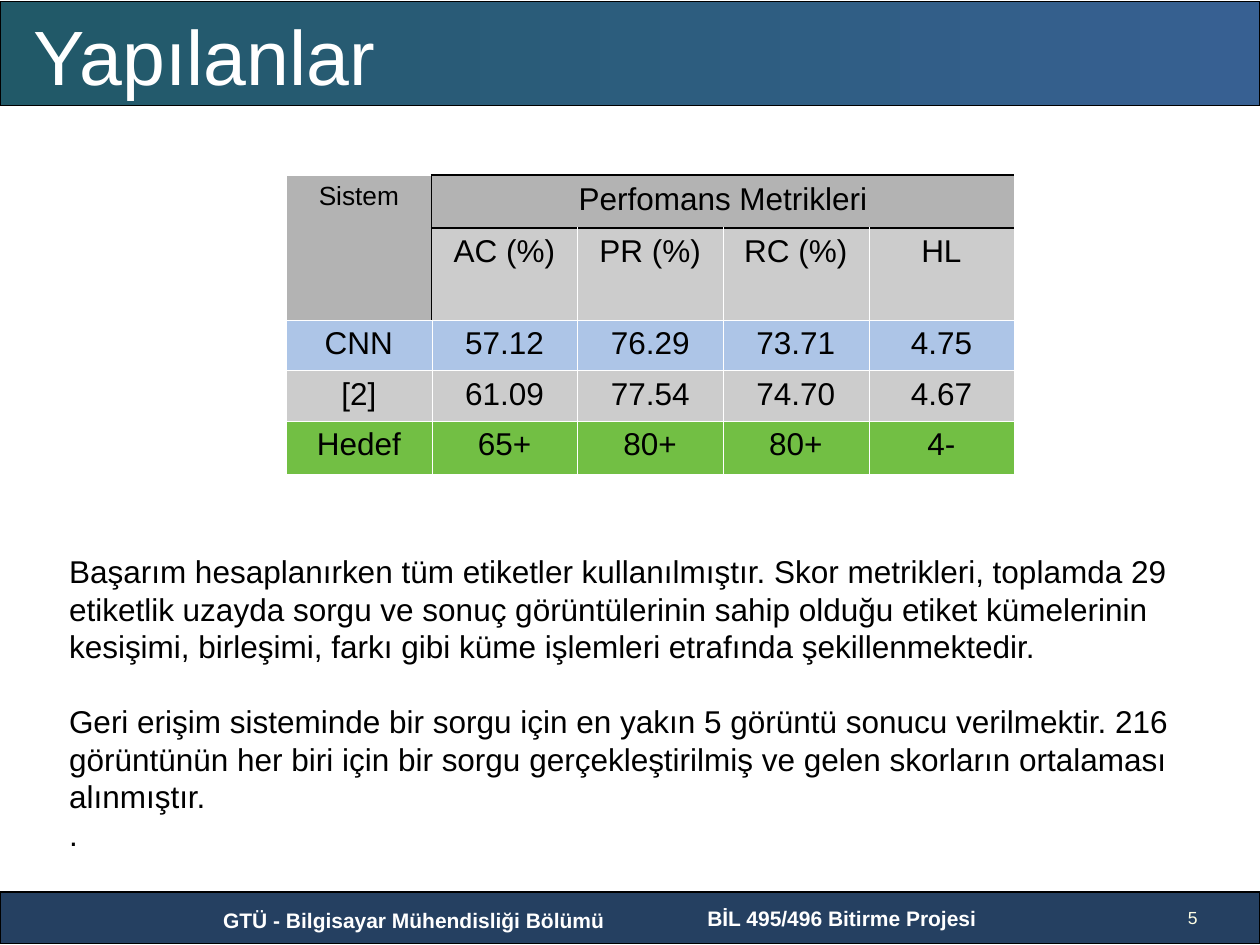
from pptx import Presentation
from pptx.dml.color import RGBColor
from pptx.enum.shapes import MSO_SHAPE as Shape
from pptx.enum.text import MSO_ANCHOR as Anchor, PP_ALIGN as Align
from pptx.oxml import parse_xml
from pptx.oxml.ns import nsdecls
from pptx.util import Inches, Pt

BLACK = RGBColor(0x00, 0x00, 0x00)
WHITE = RGBColor(0xFF, 0xFF, 0xFF)
CREAM = RGBColor(0xFF, 0xFF, 0xE5)
NAVY = RGBColor(0x25, 0x40, 0x61)
TEAL = RGBColor(0x21, 0x59, 0x68)
BLUE = RGBColor(0x37, 0x60, 0x92)
DARK_GRAY = RGBColor(0xB3, 0xB3, 0xB3)
GRAY = RGBColor(0xCC, 0xCC, 0xCC)
LIGHT_BLUE = RGBColor(0xAD, 0xC5, 0xE7)
GREEN = RGBColor(0x72, 0xBF, 0x44)

WIDTH, HEIGHT = 10, 7.5
FONT = "Arial"

# Each table row: height, fill, cell texts
ROWS = [
    (0.42, DARK_GRAY, ["Sistem", "Perfomans Metrikleri"]),
    (0.73, GRAY, ["", "AC (%)", "PR (%)", "RC (%)", "HL"]),
    (0.38, LIGHT_BLUE, ["CNN", "57.12", "76.29", "73.71", "4.75"]),
    (0.38, GRAY, ["[2]", "61.09", "77.54", "74.70", "4.67"]),
    (0.42, GREEN, ["Hedef", "65+", "80+", "80+", "4-"]),
]
COLUMNS, COLUMN_WIDTH = 5, 1.156

BODY = [
    "Başarım hesaplanırken tüm etiketler kullanılmıştır. Skor metrikleri, toplamda 29 "
    "etiketlik uzayda sorgu ve sonuç görüntülerinin sahip olduğu etiket kümelerinin "
    "kesişimi, birleşimi, farkı gibi küme işlemleri etrafında şekillenmektedir.",
    "Geri erişim sisteminde bir sorgu için en yakın 5 görüntü sonucu verilmektir. 216 "
    "görüntünün her biri için bir sorgu gerçekleştirilmiş ve gelen skorların ortalaması "
    "alınmıştır.",
    ".",
]


def write(frame, *texts, size=18, color=BLACK, bold=False, align=Align.LEFT, gaps=()):
    """Fill a text frame with paragraphs; gaps gives the space after each in points."""
    for index, text in enumerate(texts):
        paragraph = frame.add_paragraph() if index else frame.paragraphs[0]
        paragraph.alignment = align
        if index < len(gaps):
            paragraph.space_after = Pt(gaps[index])
        run = paragraph.add_run()
        run.text = text
        run.font.name, run.font.size, run.font.bold = FONT, Pt(size), bold
        run.font.color.rgb = color


def add_text(slide, left, top, width, height, *texts, anchor=Anchor.TOP, **style):
    box = slide.shapes.add_textbox(*map(Inches, (left, top, width, height)))
    box.text_frame.word_wrap = True
    box.text_frame.vertical_anchor = anchor
    write(box.text_frame, *texts, **style)


def add_band(slide, top, height, *colors):
    """Full-width bar, plain with one colour and a gradient with two."""
    band = slide.shapes.add_shape(
        Shape.RECTANGLE, 0, Inches(top), Inches(WIDTH), Inches(height))
    band.shadow.inherit = False
    band.line.color.rgb, band.line.width = BLACK, Pt(0.75)
    if len(colors) == 1:
        band.fill.solid()
        band.fill.fore_color.rgb = colors[0]
        return
    band.fill.gradient()
    band.fill.gradient_angle = 0
    for stop, color, position in zip(band.fill.gradient_stops, colors, (0, 1)):
        stop.color.rgb, stop.position = color, position


def set_borders(cell, black_sides):
    """White hairlines, except for the sides named in black_sides."""
    properties = cell._tc.get_or_add_tcPr()
    for index, side in enumerate("LRTB"):
        color, width = (BLACK, Pt(1)) if side in black_sides else (WHITE, Pt(0.06))
        properties.insert(index, parse_xml(
            f'<a:ln{side} {nsdecls("a")} w="{width}"><a:solidFill>'
            f'<a:srgbClr val="{color}"/></a:solidFill></a:ln{side}>'))


def black_sides(row, column):
    """The metrics heading is boxed; its left edge runs down beside the system cell."""
    if row > 1:
        return ""
    if column == 0:
        return "R"
    sides = "TB" if row == 0 else "T"
    if column == 1:
        sides += "L"
    if row == 0 and column == COLUMNS - 1:
        sides += "R"
    return sides


def add_metrics_table(slide, left, top):
    height = sum(row[0] for row in ROWS)
    table = slide.shapes.add_table(
        len(ROWS), COLUMNS, Inches(left), Inches(top),
        Inches(COLUMNS * COLUMN_WIDTH), Inches(height)).table
    table.first_row = table.horz_banding = False
    for column in table.columns:
        column.width = Inches(COLUMN_WIDTH)
    table.cell(0, 0).merge(table.cell(1, 0))
    table.cell(0, 1).merge(table.cell(0, COLUMNS - 1))

    for row, (row_height, fill, texts) in enumerate(ROWS):
        table.rows[row].height = Inches(row_height)
        for column in range(COLUMNS):
            cell = table.cell(row, column)
            cell.fill.solid()
            cell.fill.fore_color.rgb = fill
            set_borders(cell, black_sides(row, column))
            if not cell.is_spanned:
                write(cell.text_frame, texts[column], align=Align.CENTER,
                      size=15 if row == column == 0 else 18)


def main():
    presentation = Presentation()
    presentation.slide_width, presentation.slide_height = Inches(WIDTH), Inches(HEIGHT)
    slide = presentation.slides.add_slide(presentation.slide_layouts[6])

    # Footer and header bands
    add_band(slide, 7.08, 0.41, NAVY)
    add_band(slide, 0.01, 0.83, TEAL, BLUE)
    footer = dict(size=12, color=WHITE, bold=True, align=Align.CENTER)
    add_text(slide, 1.58, 7.15, 3.41, 0.3, "GTÜ - Bilgisayar Mühendisliği Bölümü", **footer)
    add_text(slide, 5, 7.14, 3.41, 0.3, "BİL 495/496 Bitirme Projesi ", **footer)

    # Title and page number
    add_text(slide, 0.17, 0.12, 8.58, 0.63, "Yapılanlar",
             size=44, color=WHITE, anchor=Anchor.MIDDLE)
    add_text(slide, 9.33, 7.17, 0.5, 0.08, "5", size=10, color=CREAM)

    # Results and explanation
    add_metrics_table(slide, 2.27, 1.39)
    add_text(slide, 0.45, 4.33, 9.54, 2.5, *BODY, gaps=[21])

    presentation.save("out.pptx")


if __name__ == "__main__":
    main()
